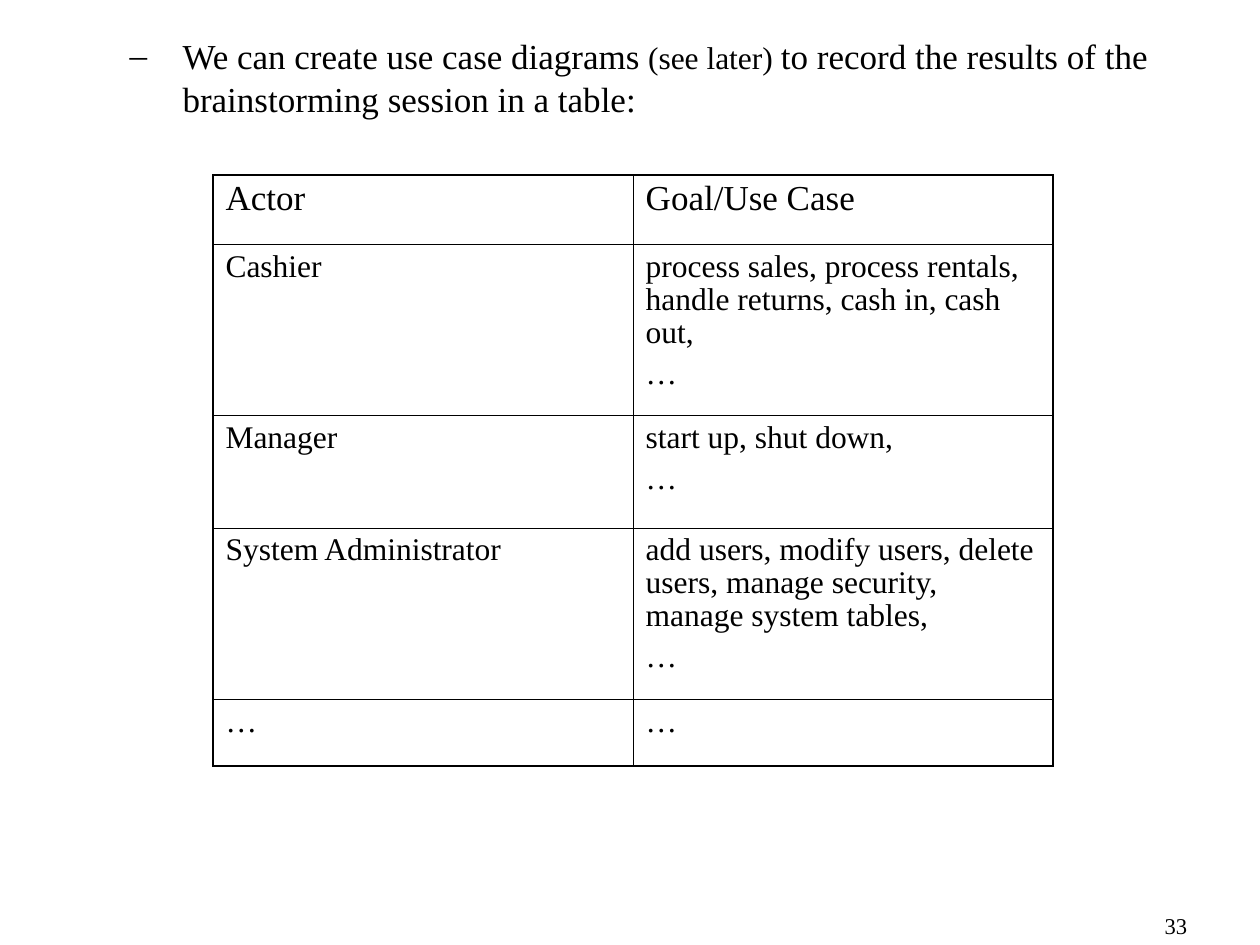
from dataclasses import dataclass

from lxml import etree
from pptx import Presentation
from pptx.dml.color import RGBColor
from pptx.enum.text import MSO_ANCHOR as Anchor, PP_ALIGN as Align
from pptx.oxml.ns import qn
from pptx.util import Inches, Pt


@dataclass(frozen=True)
class Theme:
    font: str = "Times New Roman"
    ink: str = "000000"
    lead: float = 20
    body: float = 18
    number: float = 12.9
    outer_line: float = 1.08
    inner_line: float = 0.45


THEME = Theme()

HEADER = ("Actor", "Goal/Use Case")
ACTORS = [
    ("Cashier", "process sales, process rentals, handle returns, cash in, cash out,\n…"),
    ("Manager", "start up, shut down,\n…"),
    ("System Administrator",
     "add users, modify users, delete users, manage security, manage system tables,\n…"),
    ("…", "…"),
]
ROW_HEIGHTS = (0.55, 1.36, 0.89, 1.36, 0.53)


def add_run(paragraph, text, size):
    run = paragraph.add_run()
    run.text = text
    run.font.name = THEME.font
    run.font.size = Pt(size)
    run.font.color.rgb = RGBColor.from_string(THEME.ink)


def add_text_frame(slide, box):
    frame = slide.shapes.add_textbox(*map(Inches, box)).text_frame
    frame.word_wrap = True
    return frame


def add_statement(slide, box):
    paragraph = add_text_frame(slide, box).paragraphs[0]
    paragraph.line_spacing = 1.04
    # Hanging dash bullet
    properties = paragraph._p.get_or_add_pPr()
    properties.set("marL", str(Inches(0.92)))
    properties.set("indent", str(Inches(-0.42)))
    etree.SubElement(properties, qn("a:buFont"), typeface=THEME.font)
    etree.SubElement(properties, qn("a:buChar"), char="–")
    add_run(paragraph, "We can create use case diagrams", THEME.lead)
    add_run(paragraph, " (see later) ", THEME.body)
    add_run(paragraph, "to record the results of the brainstorming session in a table:",
            THEME.lead)


def set_border(cell, side, width):
    line = etree.SubElement(cell._tc.get_or_add_tcPr(), qn(f"a:ln{side}"), w=str(Pt(width)))
    fill = etree.SubElement(line, qn("a:solidFill"))
    etree.SubElement(fill, qn("a:srgbClr"), val=THEME.ink)


def fill_cell(cell, text, size):
    cell.margin_left = cell.margin_right = Inches(0.1)
    cell.margin_top = cell.margin_bottom = Inches(0.05)
    frame = cell.text_frame
    for index, line in enumerate(text.split("\n")):
        paragraph = frame.add_paragraph() if index else frame.paragraphs[0]
        paragraph.line_spacing = 0.95
        if index:
            paragraph.space_before = Pt(4.5)
        add_run(paragraph, line, size)


def add_actor_table(slide, box):
    rows = [HEADER, *ACTORS]
    last_row, last_column = len(rows) - 1, len(HEADER) - 1
    table = slide.shapes.add_table(len(rows), len(HEADER), *map(Inches, box)).table
    table.first_row = table.horz_banding = False
    for row, height in zip(table.rows, ROW_HEIGHTS):
        row.height = Inches(height)
    for r, texts in enumerate(rows):
        for c, text in enumerate(texts):
            cell = table.cell(r, c)
            fill_cell(cell, text, THEME.body if r else THEME.lead)
            # Heavier frame around the table, thin rules inside
            outer = {"L": c == 0, "R": c == last_column, "T": r == 0, "B": r == last_row}
            for side, is_outer in outer.items():
                set_border(cell, side, THEME.outer_line if is_outer else THEME.inner_line)
            cell.fill.background()


def add_page_number(slide, box):
    frame = add_text_frame(slide, box)
    frame.vertical_anchor = Anchor.BOTTOM
    paragraph = frame.paragraphs[0]
    paragraph.alignment = Align.RIGHT
    add_run(paragraph, "33", THEME.number)


def main():
    presentation = Presentation()
    presentation.slide_width, presentation.slide_height = Inches(10), Inches(7.5)
    slide = presentation.slides.add_slide(presentation.slide_layouts[6])
    add_page_number(slide, (7.44, 7.17, 2.08, 0.33))
    add_statement(slide, (0.43, 0.21, 9.22, 6.73))
    add_actor_table(slide, (1.69, 1.39, 6.67, sum(ROW_HEIGHTS)))
    presentation.save("out.pptx")


if __name__ == "__main__":
    main()
